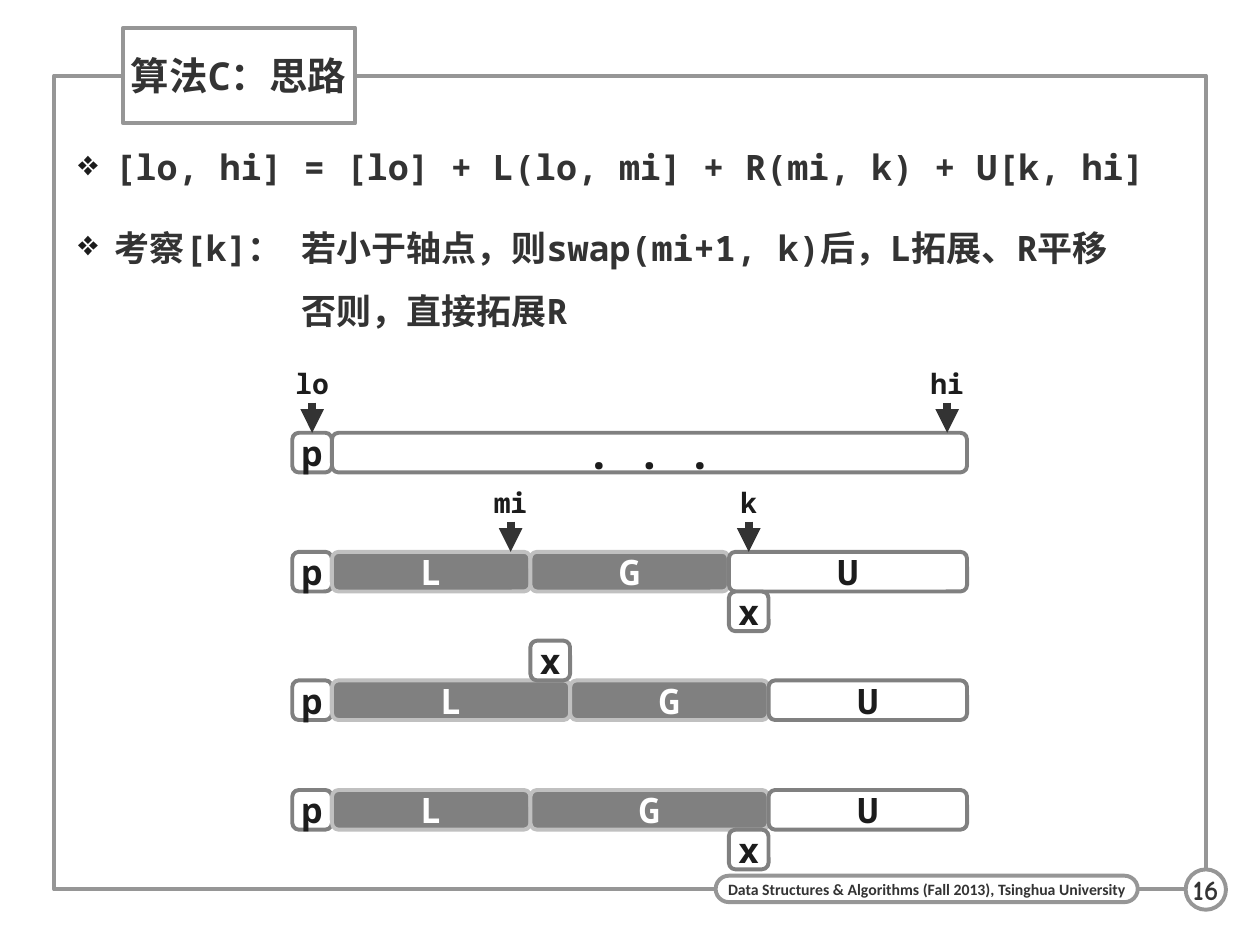
import pptx
import pptx.util
import pptx.dml.color
import pptx.enum.shapes
import pptx.enum.text
import lxml.etree

Inches = pptx.util.Inches
Pt = pptx.util.Pt
SHAPES = pptx.enum.shapes.MSO_SHAPE
ALIGN = pptx.enum.text.PP_ALIGN
ANCHOR = pptx.enum.text.MSO_ANCHOR
COLORS = {
    name: pptx.dml.color.RGBColor.from_string(value)
    for name, value in {
        "white": "FFFFFF", "frame": "969696", "text": "333333",
        "dark": "1C1C1C", "gray": "808080", "light": "C0C0C0",
    }.items()
}
MONO = "Noto Sans Mono"
CELL = 0.315
ARRAY_LEFT = 2.32

presentation = pptx.Presentation()
presentation.slide_width = Inches(10)
presentation.slide_height = Inches(7.5)
slide = presentation.slides.add_slide(presentation.slide_layouts[6])


def add_box(kind, left, top, width, height, fill="white", line="frame"):
    """Add a preset shape, or a bare text box when kind is None."""
    place = [Inches(value) for value in (left, top, width, height)]
    if kind is None:
        return slide.shapes.add_textbox(*place)
    shape = slide.shapes.add_shape(kind, *place)
    shape.shadow.inherit = False
    if fill:
        shape.fill.solid()
        shape.fill.fore_color.rgb = COLORS[fill]
    else:
        shape.fill.background()
    shape.line.color.rgb = COLORS[line]
    shape.line.width = Pt(2.25)
    return shape


def set_text(shape, text, size, color="dark", font=MONO, margins=(0, 0),
             align=ALIGN.CENTER, wrap=False):
    """Write bold text, centred vertically, with (side, top) margins."""
    frame = shape.text_frame
    frame.text = text
    frame.word_wrap = wrap
    frame.vertical_anchor = ANCHOR.MIDDLE
    frame.margin_left = frame.margin_right = Inches(margins[0])
    frame.margin_top = frame.margin_bottom = Inches(margins[1])
    for paragraph in frame.paragraphs:
        paragraph.alignment = align
        for run in paragraph.runs:
            run.font.size = Pt(size)
            run.font.name = font
            run.font.bold = True
            run.font.color.rgb = COLORS[color]


# Page frame, footer and slide number
add_box(SHAPES.RECTANGLE, 0.43, 0.6, 9.14, 6.46, fill=None)
footer = add_box(SHAPES.ROUNDED_RECTANGLE, 5.68, 6.95, 3.35, 0.21)
footer.adjustments[0] = 0.5
set_text(footer, "Data Structures & Algorithms (Fall 2013), Tsinghua University",
         9, "text", "Calibri", (0.06, 0))
number = add_box(SHAPES.OVAL, 9.41, 6.9, 0.32, 0.32)
set_text(number, "16", 16, "text", "Comic Neue", (0.04, 0.04))

# Title
title = add_box(SHAPES.RECTANGLE, 0.98, 0.22, 1.84, 0.76)
set_text(title, "算法C：思路", 22, "text", margins=(0.06, 0.01),
         align=ALIGN.LEFT, wrap=True)

# Bulleted text
body = add_box(None, 0.46, 0.91, 9.11, 5.91)
set_text(body, "[lo, hi] = [lo] + L(lo, mi] + R(mi, k) + U[k, hi]\n"
         "考察[k]：\t若小于轴点，则swap(mi+1, k)后，L拓展、R平移\v"
         "\t否则，直接拓展R",
         20, "text", align=ALIGN.LEFT, wrap=True)
body.text_frame.vertical_anchor = ANCHOR.TOP
body.text_frame.margin_left = Inches(0.16)
body.text_frame.margin_top = body.text_frame.margin_bottom = Inches(0.08)
for index, paragraph in enumerate(body.text_frame.paragraphs):
    paragraph.line_spacing = 1.5
    paragraph.space_before = Pt(7.5 if index else 0)
    paragraph.space_after = Pt(2.5)
    properties = paragraph._p.get_or_add_pPr()
    properties.set("marL", str(Inches(0.29)))
    properties.set("indent", str(Inches(-0.29)))
    namespace = properties.nsmap["a"]
    bullet_color = lxml.etree.SubElement(properties, f"{{{namespace}}}buClr")
    lxml.etree.SubElement(bullet_color, f"{{{namespace}}}srgbClr",
                          val=str(COLORS["dark"]))
    lxml.etree.SubElement(properties, f"{{{namespace}}}buChar", char="❖")
    tabs = lxml.etree.SubElement(properties, f"{{{namespace}}}tabLst")
    for position in (0.29, 1.77):
        lxml.etree.SubElement(tabs, f"{{{namespace}}}tab",
                              pos=str(Inches(position)), algn="l")

# Array states: top, then (text, first cell, cell count, row offset)
states = [
    (3.435, [("p", 0, 1, 0), (". . .", 1, 16, 0)]),
    (4.38, [("p", 0, 1, 0), ("L", 1, 5, 0), ("G", 6, 5, 0), ("U", 11, 6, 0),
            ("x", 11, 1, 1)]),
    (5.4, [("p", 0, 1, 0), ("L", 1, 6, 0), ("G", 7, 5, 0), ("U", 12, 5, 0),
           ("x", 6, 1, -1)]),
    (6.27, [("p", 0, 1, 0), ("L", 1, 5, 0), ("G", 6, 6, 0), ("U", 12, 5, 0),
            ("x", 11, 1, 1)]),
]
for top, segments in states:
    for text, first, count, row in segments:
        sorted_part = text in ("L", "G")
        segment = add_box(
            SHAPES.ROUNDED_RECTANGLE, ARRAY_LEFT + first * CELL,
            top + row * CELL, count * CELL, CELL,
            fill="gray" if sorted_part else "white",
            line="light" if sorted_part else "gray")
        set_text(segment, text, 24 if text == ". . ." else 20,
                 "white" if sorted_part else "dark")

# Index labels with arrows: text, cell, top of the array below
for text, cell, array_top in [("lo", 0, 3.435), ("hi", 16, 3.435),
                              ("mi", 5, 4.38), ("k", 11, 4.38)]:
    left = ARRAY_LEFT + cell * CELL
    label = add_box(None, left, array_top - 0.55, CELL, CELL)
    set_text(label, text, 16)
    center = Inches(left + CELL / 2)
    arrow = slide.shapes.add_connector(
        pptx.enum.shapes.MSO_CONNECTOR.STRAIGHT,
        center, Inches(array_top - 0.24), center, Inches(array_top))
    arrow.line.color.rgb = COLORS["text"]
    arrow.line.width = Pt(4.5)
    line = arrow.line._get_or_add_ln()
    namespace = line.nsmap["a"]
    lxml.etree.SubElement(line, f"{{{namespace}}}tailEnd", type="triangle",
                          w="med", len="med")
    lxml.etree.SubElement(arrow._element.spPr, f"{{{namespace}}}effectLst")

presentation.save("out.pptx")
